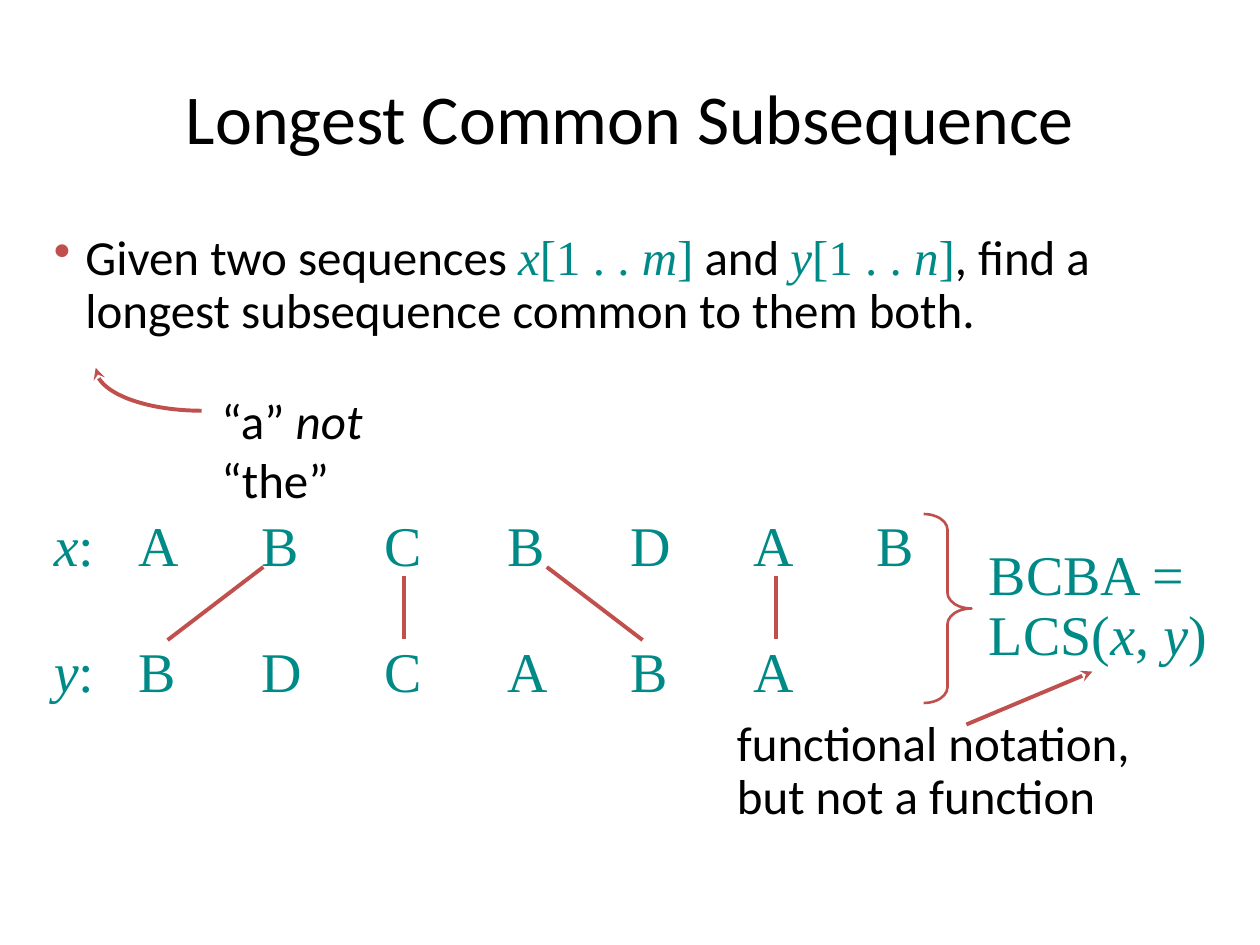
import pptx
import pptx.util
import pptx.dml.color
import pptx.enum.shapes
import pptx.enum.text
import pptx.oxml
import pptx.oxml.ns
from dataclasses import dataclass

Inches = pptx.util.Inches
Pt = pptx.util.Pt
RGB = pptx.dml.color.RGBColor.from_string
qn = pptx.oxml.ns.qn
SubElement = pptx.oxml.xmlchemy.OxmlElement


@dataclass
class Theme:
    ink: str = "000000"
    math: str = "008A87"
    accent: str = "C0504D"
    title: int = 40
    body: int = 28
    letter: int = 32
    gap: int = 16


theme = Theme()
plain = dict(name="Calibri", size=Pt(theme.body), italic=False, color=theme.ink)
emphasis = {**plain, "italic": True}
gap = {**emphasis, "size": Pt(theme.gap)}
upright = dict(name="Times New Roman", size=Pt(theme.letter), italic=False, color=theme.math)
variable = {**upright, "italic": True}
body_upright = {**upright, "size": Pt(theme.body)}
body_variable = {**variable, "size": Pt(theme.body)}


def write(sp, runs, wrap=True, spacing=1.0):
    tf = sp.text_frame
    tf.word_wrap = wrap
    p = tf.paragraphs[0]
    p.line_spacing = spacing
    for text, style in runs:
        r = p.add_run()
        r.text = text
        for key, value in style.items():
            if key == "color":
                r.font.color.rgb = RGB(value)
            else:
                setattr(r.font, key, value)
    return p


def stroke(sp, width=2.25, arrow=False):
    sp.line.color.rgb = RGB(theme.accent)
    sp.line.width = Pt(width)
    if arrow:
        tail = SubElement("a:tailEnd")
        tail.set("type", "stealth")
        sp.line._get_or_add_ln().append(tail)
    if sp._element.spPr.find(qn("a:effectLst")) is None:
        sp._element.spPr.append(SubElement("a:effectLst"))


prs = pptx.Presentation()
prs.slide_width, prs.slide_height = Inches(10), Inches(7.5)
s = prs.slides.add_slide(prs.slide_layouts[5])

title = s.shapes.title
title.left, title.top, title.width, title.height = map(Inches, (0.5, 0.3, 9, 1.25))
title.text_frame.vertical_anchor = pptx.enum.text.MSO_ANCHOR.MIDDLE
p = write(title, [("Longest Common Subsequence", {**plain, "size": Pt(theme.title)})])
p.alignment = pptx.enum.text.PP_ALIGN.CENTER

problem = s.shapes.add_textbox(Inches(0.33), Inches(1.8), Inches(9.33), Inches(0.94))
p = write(problem, [
    ("Given two sequences ", plain),
    ("x", body_variable), ("[1 . . ", body_upright), ("m", body_variable), ("]", body_upright),
    (" and ", plain),
    ("y", body_variable), ("[1 . . ", body_upright), ("n", body_variable), ("]", body_upright),
    (", find a longest subsequence common to them both.", plain),
], spacing=0.9)
pPr = p._p.get_or_add_pPr()
pPr.set("marL", str(Inches(0.25)))
pPr.set("indent", str(-Inches(0.25)))
bullet_color = SubElement("a:buClr")
swatch = SubElement("a:srgbClr")
swatch.set("val", theme.accent)
bullet_color.append(swatch)
bullet = SubElement("a:buChar")
bullet.set("char", "•")
pPr.extend([bullet_color, bullet])

for name, letters, top in [("x", "ABCBDAB", 4), ("y", "BDCABA", 5)]:
    cells = [(0.33, [(name, variable), (":", upright)])]
    cells += [(1 + 0.977 * i, [(letter, upright)]) for i, letter in enumerate(letters)]
    for left, runs in cells:
        sp = s.shapes.add_textbox(Inches(left), Inches(top), Inches(0.52), Inches(0.63))
        write(sp, runs, wrap=False)

curve = [(1.6, 3.26), (1.14, 3.26), (0.76, 3.11), (0.76, 2.92)]
steps = 24
points = []
for n in range(steps + 1):
    t = n / steps
    weights = ((1 - t) ** 3, 3 * t * (1 - t) ** 2, 3 * t * t * (1 - t), t ** 3)
    points.append(tuple(Inches(sum(w * c[axis] for w, c in zip(weights, curve))) for axis in (0, 1)))
builder = s.shapes.build_freeform(*points[0])
builder.add_line_segments(points[1:], close=False)
note_arrow = builder.convert_to_shape()
note_arrow.fill.background()
note_arrow.shadow.inherit = False
stroke(note_arrow, arrow=True)

brace = s.shapes.add_shape(pptx.enum.shapes.MSO_SHAPE.RIGHT_BRACE,
                           Inches(7.33), Inches(4.08), Inches(0.38), Inches(1.5))
brace.adjustments[0], brace.adjustments[1] = 0.33, 0.5
brace.fill.background()
brace.shadow.inherit = False
stroke(brace, 1.5)

for box, runs, spacing in [
    ((1.66, 3.05, 2.2, 0.57),
     [("“a”", plain), (" not ", emphasis), (" ", gap), ("“the”", plain)], 1.0),
    ((7.75, 4.29, 2, 1.06),
     [("BCBA = LCS(", upright), ("x", variable), (", ", upright), ("y", variable), (")", upright)], 0.9),
    ((5.75, 5.66, 3.75, 0.94), [("functional notation, but not a function", plain)], 0.9),
]:
    write(s.shapes.add_textbox(*map(Inches, box)), runs, spacing=spacing)

for ends, arrow in [
    ((2.09, 4.5, 1.33, 5.08), False),
    ((4.34, 4.5, 5.1, 5.08), False),
    ((3.21, 4.57, 3.21, 5.07), False),
    ((6.16, 4.57, 6.16, 5.07), False),
    ((7.67, 5.75, 8.67, 5.33), True),
]:
    link = s.shapes.add_connector(pptx.enum.shapes.MSO_CONNECTOR.STRAIGHT, *map(Inches, ends))
    stroke(link, arrow=arrow)

prs.save("out.pptx")
